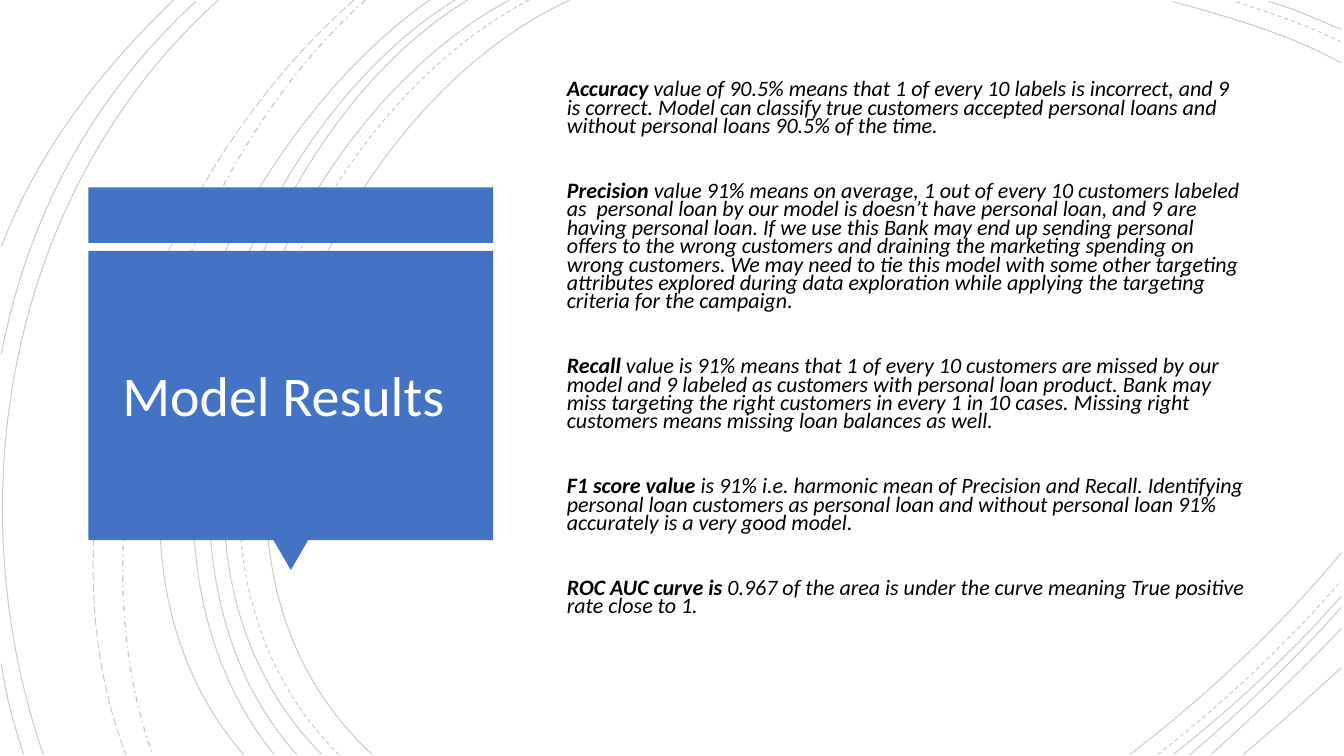
from dataclasses import dataclass

from lxml import etree
from pptx import Presentation
from pptx.dml.color import RGBColor
from pptx.enum.dml import MSO_LINE
from pptx.enum.shapes import MSO_SHAPE
from pptx.enum.text import MSO_ANCHOR, PP_ALIGN
from pptx.oxml.ns import qn
from pptx.util import Pt

RECT = MSO_SHAPE.RECTANGLE
TRIANGLE = MSO_SHAPE.ISOSCELES_TRIANGLE
SOLID, DASH = MSO_LINE.SOLID, MSO_LINE.DASH
DASH_DOT, LONG_DASH = MSO_LINE.DASH_DOT, MSO_LINE.LONG_DASH
MIDDLE, TOP = MSO_ANCHOR.MIDDLE, MSO_ANCHOR.TOP
LEFT, CENTER = PP_ALIGN.LEFT, PP_ALIGN.CENTER


@dataclass(frozen=True)
class Theme:
    font: str = "Calibri"
    accent: RGBColor = RGBColor(0x44, 0x72, 0xC4)
    ink: RGBColor = RGBColor(0, 0, 0)
    paper: RGBColor = RGBColor(255, 255, 255)
    title_size: float = 40
    body_size: float = 15.7
    arc_opacity: int = 20


THEME = Theme()

ARCS = [
    (SOLID, 0.75, [
        (407, 0, 227, 83, 103, 389, 266, 539),
        (958, 45, 920, 24, 877, 12, 837, 1),
        (807, 539, 862, 497, 914, 448, 958, 395),
    ]),
    (DASH, 0.75, [
        (378, 0, 205, 90, 89, 387, 242, 539),
        (958, 30, 934, 18, 907, 9, 882, 1),
        (827, 539, 873, 503, 918, 461, 958, 415),
    ]),
    (SOLID, 0.75, [
        (364, 0, 194, 91, 79, 387, 230, 539),
        (958, 21, 941, 14, 924, 6, 906, 1),
        (838, 539, 881, 505, 922, 467, 958, 426),
        (334, 0, 176, 96, 79, 390, 212, 539),
        (850, 539, 888, 507, 924, 472, 958, 434),
        (325, 0, 166, 99, 70, 384, 196, 539),
        (865, 539, 897, 510, 929, 480, 958, 449),
        (307, 0, 156, 106, 38, 381, 174, 539),
        (888, 539, 912, 519, 935, 498, 958, 477),
    ]),
    (DASH_DOT, 1, [(261, 0, 127, 120, 47, 366, 109, 539)]),
    (LONG_DASH, 0.75, [(253, 0, 113, 122, 21, 359, 90, 539)]),
    (SOLID, 0.75, [
        (156, 0, 8, 133, -33, 353, 31, 539),
        (140, 1, 66, 69, 20, 154, 1, 253),
        (1, 474, 4, 496, 10, 518, 17, 539),
        (124, 0, 72, 50, 27, 108, 1, 176),
    ]),
]

RESULTS = [
    ("Accuracy", " value of 90.5% means that 1 of every 10 labels is incorrect, and 9 is "
     "correct. Model can classify true customers accepted personal loans and without "
     "personal loans 90.5% of the time."),
    ("Precision", " value 91% means on average, 1 out of every 10 customers labeled as  "
     "personal loan by our model is doesn’t have personal loan, and 9 are having personal "
     "loan. If we use this Bank may end up sending personal offers to the wrong customers "
     "and draining the marketing spending on wrong customers. We may need to tie this "
     "model with some other targeting attributes explored during data exploration while "
     "applying the targeting criteria for the campaign."),
    ("Recall", " value is 91% means that 1 of every 10 customers are missed by our model "
     "and 9 labeled as customers with personal loan product. Bank may miss targeting the "
     "right customers in every 1 in 10 cases. Missing right customers means missing loan "
     "balances as well."),
    ("F1 score value ", "is 91% i.e. harmonic mean of Precision and Recall. Identifying "
     "personal loan customers as personal loan and without personal loan 91% accurately "
     "is a very good model."),
    ("ROC AUC curve is ", "0.967 of the area is under the curve meaning True positive "
     "rate close to 1."),
]


def add_arc(shapes, left, top, curve, dash, weight):
    points = [(Pt(left + x), Pt(top + y)) for x, y in zip(curve[::2], curve[1::2])]
    builder = shapes.build_freeform(*points[0])
    builder.add_line_segments(points[1:], close=False)
    sp = builder.convert_to_shape()
    sp.shadow.inherit = False
    sp.fill.background()
    sp.line.color.rgb = THEME.ink
    sp.line.width = Pt(weight)
    sp.line.dash_style = dash
    color = next(sp.element.iter(qn("a:ln"))).find(".//" + qn("a:srgbClr"))
    etree.SubElement(color, qn("a:alpha"), val=str(THEME.arc_opacity * 1000))
    segments = list(sp.element.iter(qn("a:lnTo")))
    outline = segments[0].getparent()
    bezier = etree.SubElement(outline, qn("a:cubicBezTo"))
    for segment in segments:
        bezier.append(segment[0])
        outline.remove(segment)


def add_background(slide, left, top):
    shapes = slide.shapes.add_group_shape().shapes
    for dash, weight, curves in ARCS:
        for curve in curves:
            add_arc(shapes, left, top, curve, dash, weight)


def add_block(shapes, kind, left, top, width, height):
    sp = shapes.add_shape(kind, Pt(left), Pt(top), Pt(width), Pt(height))
    sp.shadow.inherit = False
    sp.fill.solid()
    sp.fill.fore_color.rgb = THEME.accent
    sp.line.fill.background()
    return sp


def add_text_frame(slide, left, top, width, height, anchor):
    box = slide.shapes.add_textbox(Pt(left), Pt(top), Pt(width), Pt(height))
    tf = box.text_frame
    tf.word_wrap = True
    tf.vertical_anchor = anchor
    return tf


def add_run(p, text, size, color, bold=False, italic=False):
    r = p.add_run()
    r.text = text
    font = r.font
    font.name, font.size, font.color.rgb = THEME.font, Pt(size), color
    font.bold, font.italic = bold, italic


def add_title_panel(slide, left, top, width, height):
    bar_height, gap = 39.6, 5.8
    pointer_width, pointer_height = 25.2, 21.6
    body_top = top + bar_height + gap
    body_height = height - bar_height - gap - pointer_height
    shapes = slide.shapes.add_group_shape().shapes
    add_block(shapes, RECT, left, top, width, bar_height)
    pointer = add_block(shapes, TRIANGLE, left + (width - pointer_width) / 2,
                        body_top + body_height - 0.4, pointer_width, pointer_height)
    pointer.rotation = 180
    add_block(shapes, RECT, left, body_top, width, body_height)
    tf = add_text_frame(slide, left + 8, body_top + 10.8, width - 17.6,
                        body_height - 18, MIDDLE)
    p = tf.paragraphs[0]
    p.alignment = CENTER
    p.line_spacing = 0.9
    add_run(p, "Model Results ", THEME.title_size, THEME.paper)


def add_results(slide, left, top, width, height):
    tf = add_text_frame(slide, left, top, width, height, TOP)
    tf.margin_top = Pt(29)
    for i, (term, meaning) in enumerate(RESULTS):
        p = tf.add_paragraph() if i else tf.paragraphs[0]
        p.alignment = LEFT
        p.line_spacing = 0.7
        p.space_before = Pt(33 if i else 0)
        add_run(p, term, THEME.body_size, THEME.ink, bold=True, italic=True)
        add_run(p, meaning, THEME.body_size, THEME.ink, italic=True)


def main():
    prs = Presentation()
    prs.slide_width, prs.slide_height = Pt(960), Pt(540)
    slide = prs.slides.add_slide(prs.slide_layouts[6])
    add_background(slide, 0, 0)
    add_title_panel(slide, 63.2, 133.9, 289, 273.6)
    add_results(slide, 397.8, 29.5, 500.4, 491)
    prs.save("out.pptx")


if __name__ == "__main__":
    main()
